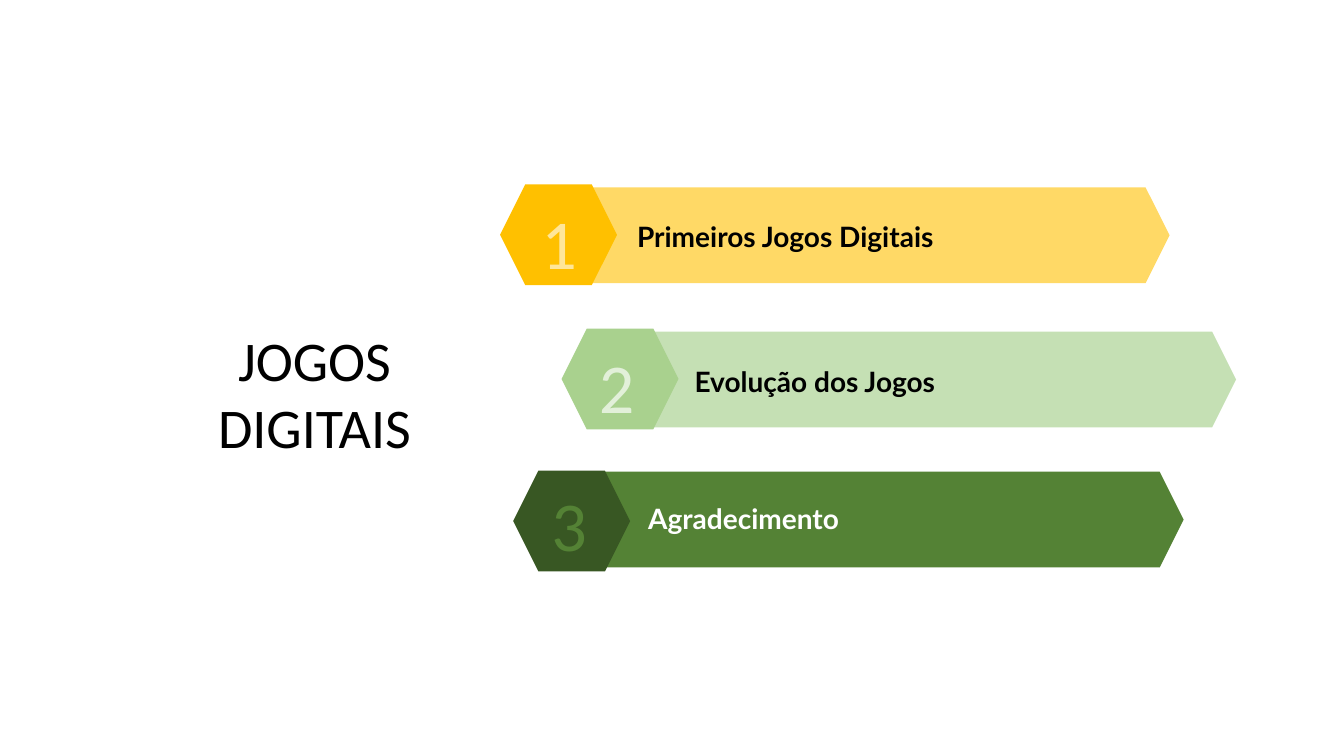
from pptx import Presentation
from pptx.dml.color import RGBColor
from pptx.enum import shapes, text
from pptx.util import Inches, Pt

TITLE = ["JOGOS", "DIGITAIS"]
# Positions are (left, top) in inches.
TOPICS = [
    {"label": "Primeiros Jogos Digitais", "palette": "gold", "label_width": 4.24,
     "bar": (4.99, 1.86), "badge": (4.96, 1.83), "label_at": (6.22, 2.13), "number_at": (5.21, 1.93)},
    {"label": "Evolução dos Jogos", "palette": "light", "label_width": 3,
     "bar": (5.65, 3.29), "badge": (5.57, 3.26), "label_at": (6.79, 3.57), "number_at": (5.78, 3.36)},
    {"label": "Agradecimento", "palette": "dark", "label_width": 3,
     "bar": (5.13, 4.68), "badge": (5.09, 4.67), "label_at": (6.33, 4.93), "number_at": (5.31, 4.73)},
]
THEME = {
    "gold": {"bar": "FFD966", "badge": "FFC000", "number": "FFE699", "label": "000000"},
    "light": {"bar": "C5E0B4", "badge": "A9D18E", "number": "E2F0D9", "label": "000000"},
    "dark": {"bar": "548235", "badge": "385723", "number": "548235", "label": "FFFFFF"},
    "title_color": "000000",
    "title": {"name": "Calibri", "size": Pt(40)},
    "number": {"name": "Calibri", "size": Pt(50)},
    "label": {"name": "Lato", "size": Pt(20), "bold": True},
}
BAR_SIZE = (6.61, 0.95)
BADGE_SIZE = (1.16, 1)
NUMBER_SIZE = (0.67, 0.94)
LABEL_HEIGHT = 0.44
TITLE_AT, TITLE_SIZE = (1.62, 3.18), (3, 1.45)


def add_hexagon(page, at, size, color):
    shape = page.shapes.add_shape(shapes.MSO_SHAPE.HEXAGON, *map(Inches, at + size))
    shape.shadow.inherit = False
    shape.fill.solid()
    shape.fill.fore_color.rgb = RGBColor.from_string(color)
    shape.line.fill.background()


def add_text(page, lines, at, size, style, color, align):
    box = page.shapes.add_textbox(*map(Inches, at + size))
    frame = box.text_frame
    frame.word_wrap = True
    frame.auto_size = text.MSO_AUTO_SIZE.SHAPE_TO_FIT_TEXT
    for index, line in enumerate(lines):
        para = frame.paragraphs[0] if index == 0 else frame.add_paragraph()
        para.alignment = align
        span = para.add_run()
        span.text = line
        for name, value in THEME[style].items():
            setattr(span.font, name, value)
        span.font.color.rgb = RGBColor.from_string(color)


def add_topic(page, number, topic):
    colors = THEME[topic["palette"]]
    for part, size in (("bar", BAR_SIZE), ("badge", BADGE_SIZE)):
        add_hexagon(page, topic[part], size, colors[part])
    add_text(page, [topic["label"]], topic["label_at"], (topic["label_width"], LABEL_HEIGHT),
             "label", colors["label"], text.PP_ALIGN.LEFT)
    add_text(page, [str(number)], topic["number_at"], NUMBER_SIZE,
             "number", colors["number"], text.PP_ALIGN.CENTER)


def main():
    deck = Presentation()
    deck.slide_width, deck.slide_height = Inches(13.33), Inches(7.5)
    page = deck.slides.add_slide(deck.slide_layouts[6])
    add_text(page, TITLE, TITLE_AT, TITLE_SIZE, "title", THEME["title_color"], text.PP_ALIGN.CENTER)
    for number, topic in enumerate(TOPICS, start=1):
        add_topic(page, number, topic)
    deck.save("out.pptx")


if __name__ == "__main__":
    main()
